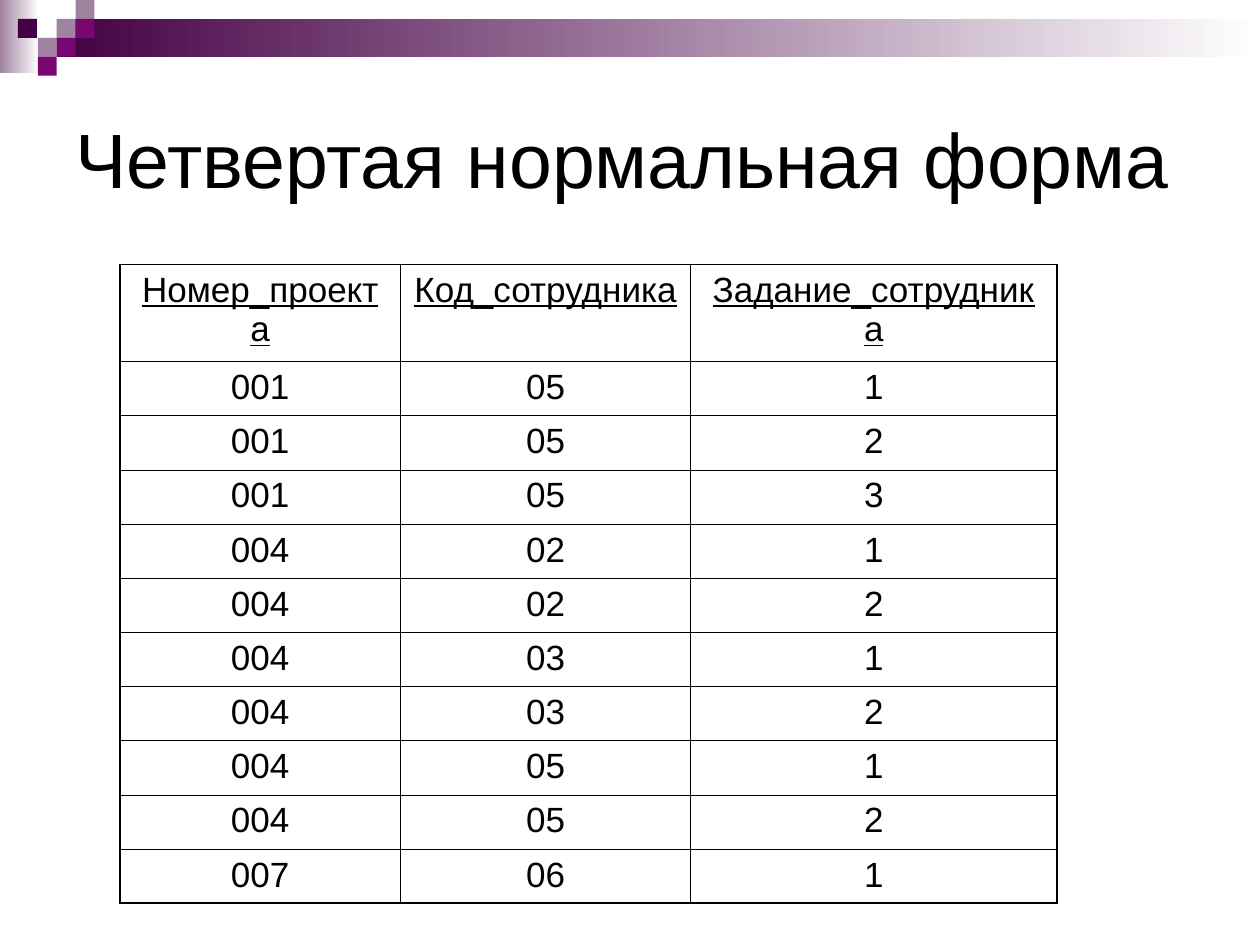
from dataclasses import dataclass

from lxml.etree import SubElement
from pptx import Presentation
from pptx.dml.color import RGBColor as RGB
from pptx.enum.shapes import MSO_SHAPE as Shape
from pptx.enum.text import MSO_ANCHOR as Anchor, PP_ALIGN as Align
from pptx.oxml.ns import qn
from pptx.util import Inches, Pt


@dataclass(frozen=True)
class Theme:
    font: str = "Arial"
    title_size: int = 44
    cell_size: int = 20
    text: str = "000000"
    white: str = "FFFFFF"
    dark: str = "440044"
    bright: str = "790571"
    pale: str = "9F839F"
    outer_line: float = 1.08
    inner_line: float = 0.45


THEME = Theme()
WIDTH, HEIGHT = 10, 7.5
UNIT = 0.15  # side of one square in the corner pattern

# Column, row and colour of each square
SQUARES = [
    (3, 1, THEME.pale), (4, 0, THEME.pale), (4, 1, THEME.bright),
    (2, 2, THEME.pale), (0.95, 1, THEME.dark), (3, 2, THEME.bright),
    (2, 3, THEME.bright),
]

HEADERS = ["Номер_проекта", "Код_сотрудника", "Задание_сотрудника"]
ASSIGNMENTS = [
    ("001", "05", "1"), ("001", "05", "2"), ("001", "05", "3"),
    ("004", "02", "1"), ("004", "02", "2"),
    ("004", "03", "1"), ("004", "03", "2"),
    ("004", "05", "1"), ("004", "05", "2"),
    ("007", "06", "1"),
]
COL_WIDTHS = [2.23, 2.3, 2.91]
HEADER_HEIGHT, ROW_HEIGHT = 0.77, 0.43


def write(tf, text, size, align=Align.LEFT, underline=False, before=0):
    p = tf.paragraphs[0]
    p.alignment = align
    if before:
        p.space_before = Pt(before)
    r = p.add_run()
    r.text = text
    r.font.name = THEME.font
    r.font.size = Pt(size)
    r.font.underline = underline
    r.font.color.rgb = RGB.from_string(THEME.text)


def add_rect(slide, x, y, w, h, color, fade_to=None):
    """Borderless rectangle, plain or fading from left to right."""
    sp = slide.shapes.add_shape(Shape.RECTANGLE, *map(Inches, (x, y, w, h)))
    sp.shadow.inherit = False
    sp.line.fill.background()
    if fade_to is None:
        sp.fill.solid()
        sp.fill.fore_color.rgb = RGB.from_string(color)
        return
    sp.fill.gradient()
    sp.fill.gradient_angle = 0
    for stop, position, tone in zip(sp.fill.gradient_stops, (0, 1), (color, fade_to)):
        stop.position = position
        stop.color.rgb = RGB.from_string(tone)


def add_decoration(slide):
    add_rect(slide, 0, 0, 0.31, 0.58, THEME.pale, fade_to=THEME.white)
    add_rect(slide, 3 * UNIT, UNIT, WIDTH - 3 * UNIT, 2 * UNIT, THEME.dark,
             fade_to=THEME.white)
    for col, row, color in SQUARES:
        add_rect(slide, col * UNIT, row * UNIT, UNIT, UNIT, color)


def add_title(slide, text):
    title = slide.shapes.title
    title.left, title.top = Inches(0.05 * WIDTH), Inches(HEIGHT / 15)
    title.width, title.height = Inches(0.9 * WIDTH), Inches(HEIGHT / 5)
    title.text_frame.vertical_anchor = Anchor.MIDDLE
    write(title.text_frame, text, THEME.title_size)


def set_borders(cell, **edges):
    """Each edge is L, R, T or B; True marks the outside of the table."""
    tc_pr = cell._tc.get_or_add_tcPr()
    for side, is_outer in edges.items():
        width = THEME.outer_line if is_outer else THEME.inner_line
        ln = SubElement(tc_pr, qn(f"a:ln{side}"), w=str(Pt(width)))
        fill = SubElement(ln, qn("a:solidFill"))
        SubElement(fill, qn("a:srgbClr"), val=THEME.text)


def add_grid_table(slide, x, y, rows):
    last_row, last_col = len(rows) - 1, len(COL_WIDTHS) - 1
    heights = [HEADER_HEIGHT] + [ROW_HEIGHT] * last_row
    table = slide.shapes.add_table(
        len(rows), len(COL_WIDTHS), Inches(x), Inches(y),
        Inches(sum(COL_WIDTHS)), Inches(sum(heights))).table
    table.first_row = table.horz_banding = False
    for column, width in zip(table.columns, COL_WIDTHS):
        column.width = Inches(width)
    for i, (values, height) in enumerate(zip(rows, heights)):
        table.rows[i].height = Inches(height)
        for j, value in enumerate(values):
            cell = table.cell(i, j)
            set_borders(cell, L=j == 0, R=j == last_col, T=i == 0, B=i == last_row)
            cell.fill.background()
            write(cell.text_frame, value, THEME.cell_size, align=Align.CENTER,
                  underline=i == 0, before=5)


def main():
    prs = Presentation()
    prs.slide_width, prs.slide_height = Inches(WIDTH), Inches(HEIGHT)
    slide = prs.slides.add_slide(prs.slide_layouts[5])  # Title Only
    add_decoration(slide)
    add_title(slide, "Четвертая нормальная форма")
    add_grid_table(slide, 0.95, 2.1, [HEADERS] + ASSIGNMENTS)
    prs.save("out.pptx")


if __name__ == "__main__":
    main()
